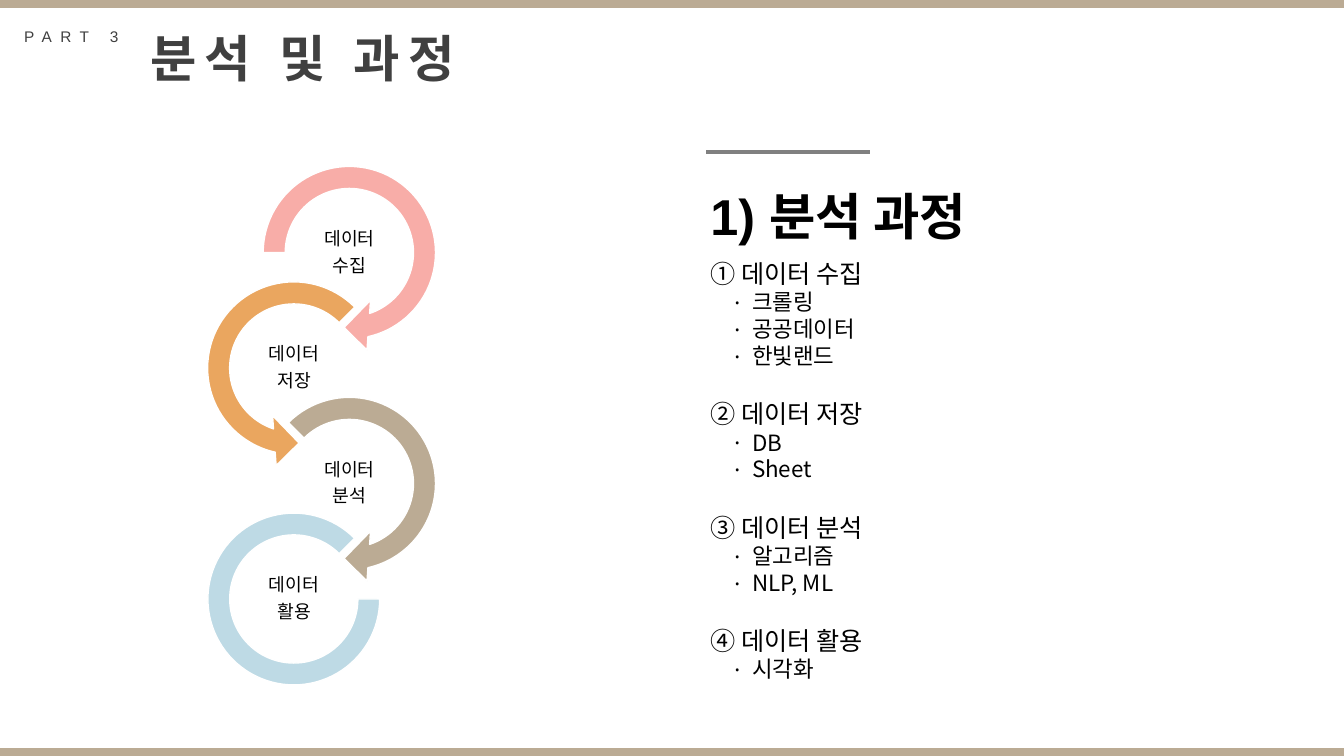
from pptx import Presentation
from pptx.dml.color import RGBColor as Rgb
from pptx.enum.shapes import MSO_CONNECTOR as Conn, MSO_SHAPE as Kind
from pptx.enum.text import MSO_ANCHOR as Anchor, MSO_AUTO_SIZE as Auto, PP_ALIGN as Align
from pptx.oxml.ns import qn
from pptx.util import Cm, Pt
from lxml import etree

WIDE, HIGH = 33.87, 19.05
HUES = {"sand": "BBAB94", "pink": "F8ADA8", "amber": "EAA65F", "sky": "BEDAE5",
        "dark": "404040", "black": "000000", "gray": "808080", "white": "FFFFFF"}
NOTO = "Noto Sans CJK KR"
HEAD = {"name": "Arial", "size": Pt(36), "bold": True}
PART = {"name": "Arial", "size": Pt(11)}
RING = {"name": "Arial", "size": Pt(13)}
ITEM = {"name": NOTO, "size": Pt(18)}
SUB = {"name": NOTO, "size": Pt(16)}

# label, hue, shape, adjustments
STEPS = [
    ("수집", "pink", Kind.CIRCULAR_ARROW, (0.11, 11.42, 45, 108, 0.125)),
    ("저장", "amber", Kind.LEFT_CIRCULAR_ARROW, (0.11, 11.42, 63, 189, 0.125)),
    ("분석", "sand", Kind.CIRCULAR_ARROW, (0.11, 11.42, 45, 135, 0.125)),
    ("활용", "sky", Kind.BLOCK_ARC, (0, 189, 0.127)),
]
TASKS = [
    ("① 데이터 수집", ["크롤링", "공공데이터", "한빛랜드"]),
    ("② 데이터 저장", ["DB", "Sheet"]),
    ("③ 데이터 분석", ["알고리즘", "NLP, ML"]),
    ("④ 데이터 활용", ["시각화"]),
]


def hue(name):
    return Rgb.from_string(HUES[name])


def style(font, form, tint):
    for key, value in form.items():
        setattr(font, key, value)
    font.color.rgb = hue(tint)


def place(shape, box):
    for key, value in zip(("left", "top", "width", "height"), box):
        setattr(shape, key, Cm(value))


def paint(shapes, kind, box, tint):
    shape = shapes.add_shape(kind, *map(Cm, box))
    shape.shadow.inherit = False
    shape.fill.solid()
    shape.fill.fore_color.rgb = hue(tint)
    shape.line.fill.background()
    return shape


def write(shape, text, form, tint, gap=0):
    """Fill a one-line text shape; gap is the letter spacing in points."""
    frame = shape.text_frame
    frame.word_wrap = False
    frame.auto_size = Auto.NONE
    frame.vertical_anchor = Anchor.TOP
    para = frame.paragraphs[0]
    para.alignment = Align.LEFT
    run = para.add_run()
    run.text = text
    style(run.font, form, tint)
    if gap:
        run.font._element.set("spc", str(gap * 100))


def header(slide, left, top):
    for edge in (0, HIGH - 0.2):
        paint(slide.shapes, Kind.RECTANGLE, (0, edge, WIDE, 0.2), "sand")
    title = slide.shapes.title
    place(title, (left + 3.17, top, 9.14, 1.8))
    write(title, "분석 및 과정", HEAD, "dark", 6)
    part = slide.shapes.add_textbox(Cm(left), Cm(top), Cm(3.17), Cm(0.73))
    write(part, "PART 3", PART, "dark", 6)


def label(shapes, box, lines):
    frame = shapes.add_textbox(*map(Cm, box)).text_frame
    frame.word_wrap = True
    frame.vertical_anchor = Anchor.MIDDLE
    for side in ("left", "top", "right", "bottom"):
        setattr(frame, f"margin_{side}", Cm(0.03))
    frame.text = "\n".join(lines)
    for para in frame.paragraphs:
        para.alignment = Align.CENTER
        para.line_spacing = 0.9
        para.space_after = Pt(5)
        style(para.font, RING, "black")


def chain(slide, left, top):
    """Draw the rings, zigzagging down from the given corner."""
    shapes = slide.shapes.add_group_shape().shapes
    size, drop, shift = 5.05, 2.91, 1.4
    for i, (word, tint, kind, turns) in enumerate(STEPS):
        x, y = left + shift * (1 - i % 2), top + drop * i
        pad = 0.36 if kind == Kind.BLOCK_ARC else 0
        side = size - 2 * pad
        ring = paint(shapes, kind, (x + pad, y + pad, side, side), tint)
        ring.line.color.rgb = hue("white")
        ring.line.width = Pt(1)
        for n, turn in enumerate(turns):
            ring.adjustments[n] = turn
        label(shapes, (x + 1.12, y + 1.83, 2.82, 1.4), ("데이터", word))


def bullet(para, mark, left, hang):
    props = para._p.get_or_add_pPr()
    props.set("marL", str(Cm(left)))
    props.set("indent", str(Cm(-hang)))
    if mark:
        etree.SubElement(props, qn("a:buFont")).set("typeface", NOTO)
        etree.SubElement(props, qn("a:buChar")).set("char", mark)
    else:
        etree.SubElement(props, qn("a:buNone"))


def tasks(slide, box):
    body = slide.placeholders[1]
    place(body, box)
    frame = body.text_frame
    frame.auto_size = Auto.NONE
    rows = [row for item, subs in TASKS
            for row in [(item, True)] + [(sub, False) for sub in subs]]
    frame.text = "\n".join(text for text, _ in rows)
    for i, (para, (_, main)) in enumerate(zip(frame.paragraphs, rows)):
        para.alignment = Align.JUSTIFY
        para.space_before = Pt(21 if main and i else 0)
        bullet(para, *(("", 0, 0) if main else ("·", 1.05, 0.53)))
        style(para.runs[0].font, ITEM if main else SUB, "black")
        east = etree.SubElement(para.runs[0].font._element, qn("a:ea"))
        east.set("typeface", NOTO)


def detail(slide, left, top):
    rule = slide.shapes.add_connector(
        Conn.STRAIGHT, Cm(left + 0.15), Cm(top), Cm(left + 4.27), Cm(top))
    rule.line.color.rgb = hue("gray")
    rule.line.width = Pt(3)
    etree.SubElement(rule._element.spPr, qn("a:effectLst"))
    name = slide.shapes.add_textbox(Cm(left), Cm(top + 0.71), Cm(7.49), Cm(1.8))
    write(name, "1) 분석 과정", HEAD, "black")
    tasks(slide, (left, top + 2.54, 14.6, 11.53))


def main():
    deck = Presentation()
    deck.slide_width, deck.slide_height = Cm(WIDE), Cm(HIGH)
    slide = deck.slides.add_slide(deck.slide_layouts[1])
    header(slide, 0.36, 0.56)
    chain(slide, 4.88, 3.84)
    detail(slide, 17.65, 3.84)
    deck.save("out.pptx")


if __name__ == "__main__":
    main()
